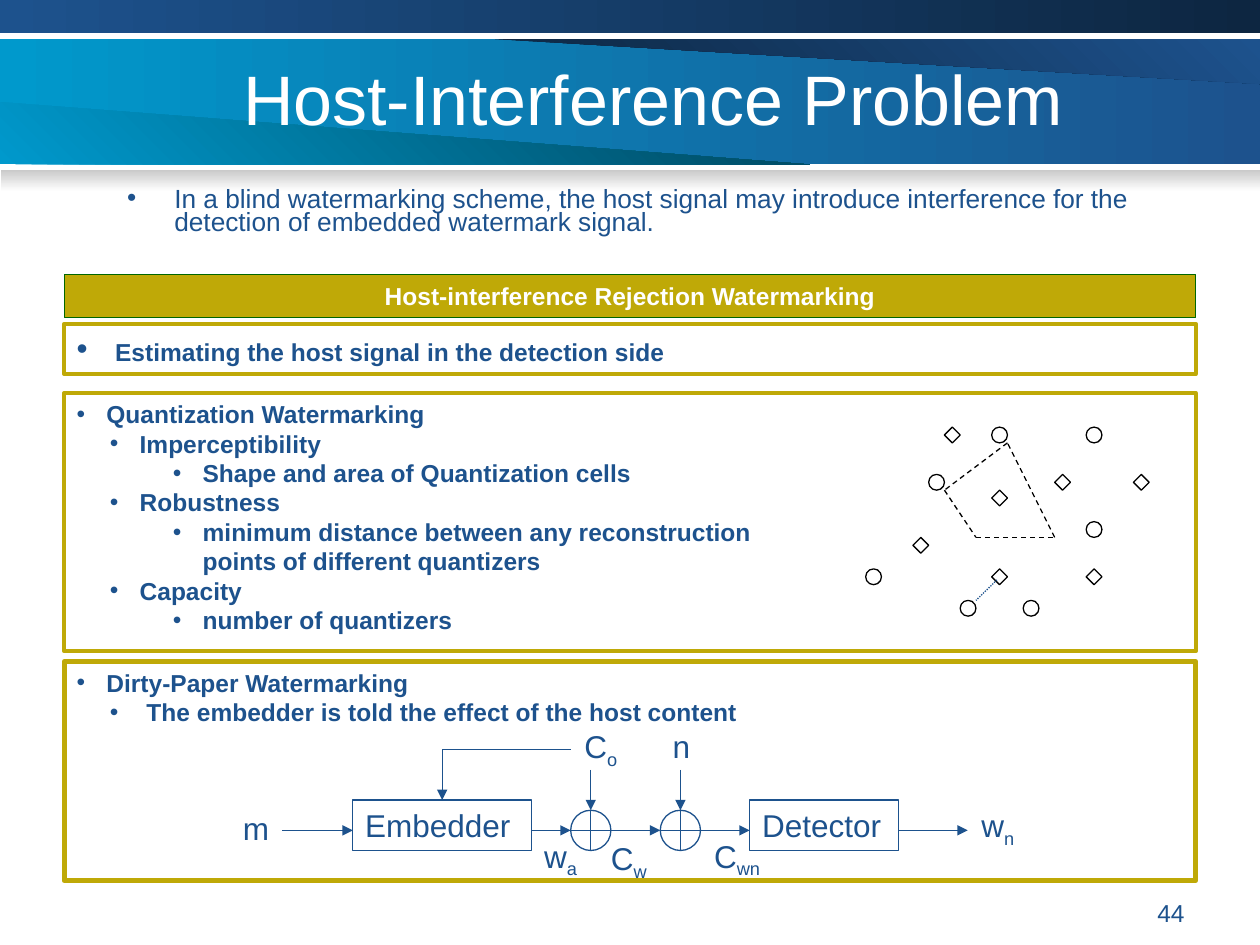
from lxml import etree
from pptx import Presentation, util as u
from pptx.dml import color as col
from pptx.enum import dml, shapes, text
from pptx.oxml import ns

Pt = u.Pt
HUES = {"blue": "1D528D", "navy": "0D2641", "sky": "0099CC", "teal": "00475E",
        "gold": "BFA907", "green": "006600", "gray": "CACACA",
        "white": "FFFFFF", "black": "000000"}
KIND = shapes.MSO_SHAPE
DASH = dml.MSO_LINE
MID = text.MSO_ANCHOR.MIDDLE
ALIGN = text.PP_ALIGN
GROW = text.MSO_AUTO_SIZE.SHAPE_TO_FIT_TEXT
BOLD = {"size": Pt(14), "bold": True}
BIG = {"size": Pt(18)}
HANG = 17


def rgb(name):
    """Return the named colour."""
    return col.RGBColor.from_string(HUES[name])


def put(item, vals):
    """Set each attribute in vals on item."""
    for key, val in vals.items():
        setattr(item, key, val)


def paint(shape, fill=None, line=None, width=0.75):
    """Give a shape its fill and line, without shadow."""
    shape.shadow.inherit = False
    if fill:
        shape.fill.solid()
        shape.fill.fore_color.rgb = rgb(fill)
    else:
        shape.fill.background()
    if line:
        shape.line.color.rgb = rgb(line)
        shape.line.width = Pt(width)
    else:
        shape.line.fill.background()


def blend(shape, first, last, angle=0):
    """Fill a shape with a two-colour gradient."""
    paint(shape)
    shape.fill.gradient()
    shape.fill.gradient_angle = angle
    for stop, name, pos in zip(shape.fill.gradient_stops, (first, last), (0, 1)):
        stop.color.rgb = rgb(name)
        stop.position = pos


def form(slide, kind, box, **look):
    """Add a preset shape in a box."""
    shape = slide.shapes.add_shape(kind, *map(Pt, box))
    paint(shape, **look)
    return shape


def label(slide, box, wrap=True):
    """Add an empty text box."""
    item = slide.shapes.add_textbox(*map(Pt, box))
    item.text_frame.word_wrap = wrap
    return item


def bullet(para, left, hang):
    """Give a paragraph a hanging bullet."""
    props = para._p.get_or_add_pPr()
    props.set("marL", str(Pt(left)))
    props.set("indent", str(-Pt(hang)))
    etree.SubElement(props, ns.qn("a:buFont")).set("typeface", "Arial")
    etree.SubElement(props, ns.qn("a:buChar")).set("char", "•")


def write(shape, rows, font, hue="blue", marks=None, hang=HANG, para=None, **frame):
    """Write rows of runs; a run is (words, font changes)."""
    body = shape.text_frame
    put(body, {"vertical_anchor": text.MSO_ANCHOR.TOP, **frame})
    for num, row in enumerate(rows):
        line = body.add_paragraph() if num else body.paragraphs[0]
        if marks:
            bullet(line, marks[num], hang)
        put(line, {"alignment": ALIGN.LEFT, **(para or {})})
        for words, change in [(row, {})] if isinstance(row, str) else row:
            run = line.add_run()
            run.text = words
            put(run.font, {"name": "Arial", **font, **change})
            run.font.color.rgb = rgb(hue)


def link(slide, start, end, hue="blue", dash=None, head=True):
    """Draw a straight line, with an arrowhead if asked."""
    line = slide.shapes.add_connector(shapes.MSO_CONNECTOR.STRAIGHT,
                                      *map(Pt, (*start, *end)))
    line.line.color.rgb = rgb(hue)
    line.line.width = Pt(0.75)
    if dash:
        line.line.dash_style = dash
    if head:
        etree.SubElement(line.line._get_or_add_ln(), ns.qn("a:tailEnd")).set("type", "triangle")
    etree.SubElement(line._element.spPr, ns.qn("a:effectLst"))
    return line


def wedge(slide, x, y, points):
    """Add a closed outline through points."""
    first, *rest = [(Pt(x + a), Pt(y + b)) for a, b in points]
    path = slide.shapes.build_freeform(*first)
    path.add_line_segments(rest, close=True)
    return path.convert_to_shape()


def banner(slide, x, y, w, h):
    """Draw the title band with its wedges and shade."""
    top, low = 22.3, 94
    blend(form(slide, KIND.RECTANGLE, (x, y + top, w, low - top)), "sky", "blue")
    blend(wedge(slide, x, y, [(283, top), (w, top), (w, 48)]), "navy", "blue", 45)
    blend(wedge(slide, x, y, [(0, 58.3), (463, low), (0, low)]), "sky", "teal", 45)
    blend(form(slide, KIND.RECTANGLE, (x, y, w, 18.7)), "blue", "navy")
    blend(form(slide, KIND.RECTANGLE, (x + 0.7, y + 97.2, w - 0.7, h - 97.2)),
          "gray", "white", 270)
    write(label(slide, (x + 131.8, y + 21.6, 522, 68.4)), ["Host-Interference Problem"],
          {"size": Pt(40)}, "white", vertical_anchor=MID)


def intro(slide, x, y, w, h):
    """Write the opening point."""
    write(label(slide, (x, y, w, h)),
          ["In a blind watermarking scheme, the host signal may introduce "
           "interference for the detection of embedded watermark signal."],
          {"size": Pt(15)}, marks=[27], hang=27, para={"line_spacing": 0.7})


def heading(slide, x, y, w, h):
    """Draw the gold heading bar."""
    bar = form(slide, KIND.RECTANGLE, (x, y, w, h), fill="gold", line="green")
    write(bar, ["Host-interference Rejection Watermarking"], BOLD, "white",
          para={"alignment": ALIGN.CENTER})


def estimate(slide, x, y, w, h):
    """Draw the panel on estimating."""
    panel = form(slide, KIND.RECTANGLE, (x, y, w, h), line="gold", width=2.25)
    write(panel, [[(" ", {"size": Pt(18), "bold": False}),
                   ("Estimating the host signal in the detection side", {})]],
          BOLD, marks=[HANG])


def lattice(slide, x, y, step):
    """Plot the points of two quantizers on a grid."""
    def spot(col, row):
        """Return the place of a grid node."""
        return x + col * step, y + row * step

    marks = {KIND.OVAL: [(4, 3), (0, 9), (6, 11), (10, 11), (8, 0), (14, 0), (14, 6)],
             KIND.DIAMOND: [(8, 4), (3, 7), (5, 0), (8, 9), (12, 3), (14, 9), (17, 3)]}
    for kind, nodes in marks.items():
        for node in nodes:
            form(slide, kind, (*spot(*node), step, step), fill="white", line="black")
    cell = [(7, 7), (12, 7), (9, 1), (5, 4)]
    for start, end in zip(cell, cell[1:] + cell[:1]):
        link(slide, spot(*start), spot(*end), "black", DASH.DASH, False)
    link(slide, spot(8.33, 9.7), spot(7, 11), "blue", DASH.ROUND_DOT, False)


def quantize(slide, x, y, w, h):
    """Draw the panel on quantization."""
    form(slide, KIND.RECTANGLE, (x, y, w, h), line="gold", width=2.25)
    rows = [(HANG, "Quantization Watermarking"), (36, "Imperceptibility"),
            (72, "Shape and area of Quantization cells"), (36, "Robustness"),
            (72, "minimum distance between any reconstruction points of different quantizers"),
            (36, "Capacity"), (72, "number of quantizers")]
    marks, words = zip(*rows)
    write(label(slide, (x, y, 420, 142)), words, BOLD, marks=marks)
    lattice(slide, x + 458, y + 19.5, 9)


def dirty(slide, x, y, w, h):
    """Draw the panel on dirty paper with its signal chain."""
    panel = form(slide, KIND.RECTANGLE, (x, y, w, h), line="gold", width=3)
    write(panel, ["Dirty-Paper Watermarking",
                  " The embedder is told the effect of the host content"],
          BOLD, marks=[HANG, 36])
    axis, top, ring = y + 96.5, y + 79.2, 23
    blocks = []
    for name, left, wide in [("Embedder", 164.9, 102.2), ("Detector", 391.7, 85)]:
        block = form(slide, KIND.RECTANGLE, (x + left, top, wide, 28.8), line="blue")
        write(block, [name], BIG)
        blocks.append(block)
    for left in (289.4, 340.6):
        edge, mid = axis - ring / 2, x + left + ring / 2
        form(slide, KIND.FLOWCHART_OR, (x + left, edge, ring, ring), line="blue")
        link(slide, (mid, y + 62), (mid, edge))
    for start, end in [(124.6, 164.9), (267.1, 289.4), (312.4, 340.6),
                       (363.6, 391.7), (476.7, 516.3)]:
        link(slide, (x + start, axis), (x + end, axis))
    bend = x + 216, y + 50.4
    link(slide, (x + 289.4, bend[1]), bend, head=False)
    link(slide, bend, (bend[0], top)).end_connect(blocks[0], 0)
    for base, sub, left, down, wide in [
            ("m", "", 95, 80.6, 30), ("w", "a", 267.1, 96.5, 34),
            ("C", "w", 305.3, 97.9, 36), ("C", "o", 290.2, 33.8, 34),
            ("n", "", 340.6, 33.8, 25), ("C", "wn", 364.3, 96.5, 42),
            ("w", "n", 517, 79.2, 34)]:
        item = label(slide, (x + left, y + down, wide, 31.7 if sub else 28.8), False)
        write(item, [[(base, {})] + ([(sub, {})] if sub else [])], BIG, auto_size=GROW)
        for run in item.text_frame.paragraphs[0].runs[1:]:
            run.font._element.set("baseline", "-25000")


def number(slide, x, y, w, h):
    """Write the page number."""
    write(label(slide, (x, y, w, h)), ["44"], {"size": Pt(14)},
          para={"alignment": ALIGN.RIGHT})


def main():
    """Build the slide and save it."""
    deck = Presentation()
    put(deck, {"slide_width": Pt(720), "slide_height": Pt(540)})
    slide = deck.slides.add_slide(deck.slide_layouts[6])
    left, wide = 36.7, 646.6
    banner(slide, 0, 0, 720, 109.4)
    intro(slide, 65.5, 105.8, 589.7, 33.8)
    for draw, top, tall in [(heading, 157, 24.5), (estimate, 185, 28.8),
                            (quantize, 224.6, 147.6), (dirty, 378, 125.3)]:
        draw(slide, left, top, wide, tall)
    number(slide, 516.2, 509.8, 167.8, 19.4)
    deck.save("out.pptx")


if __name__ == "__main__":
    main()
